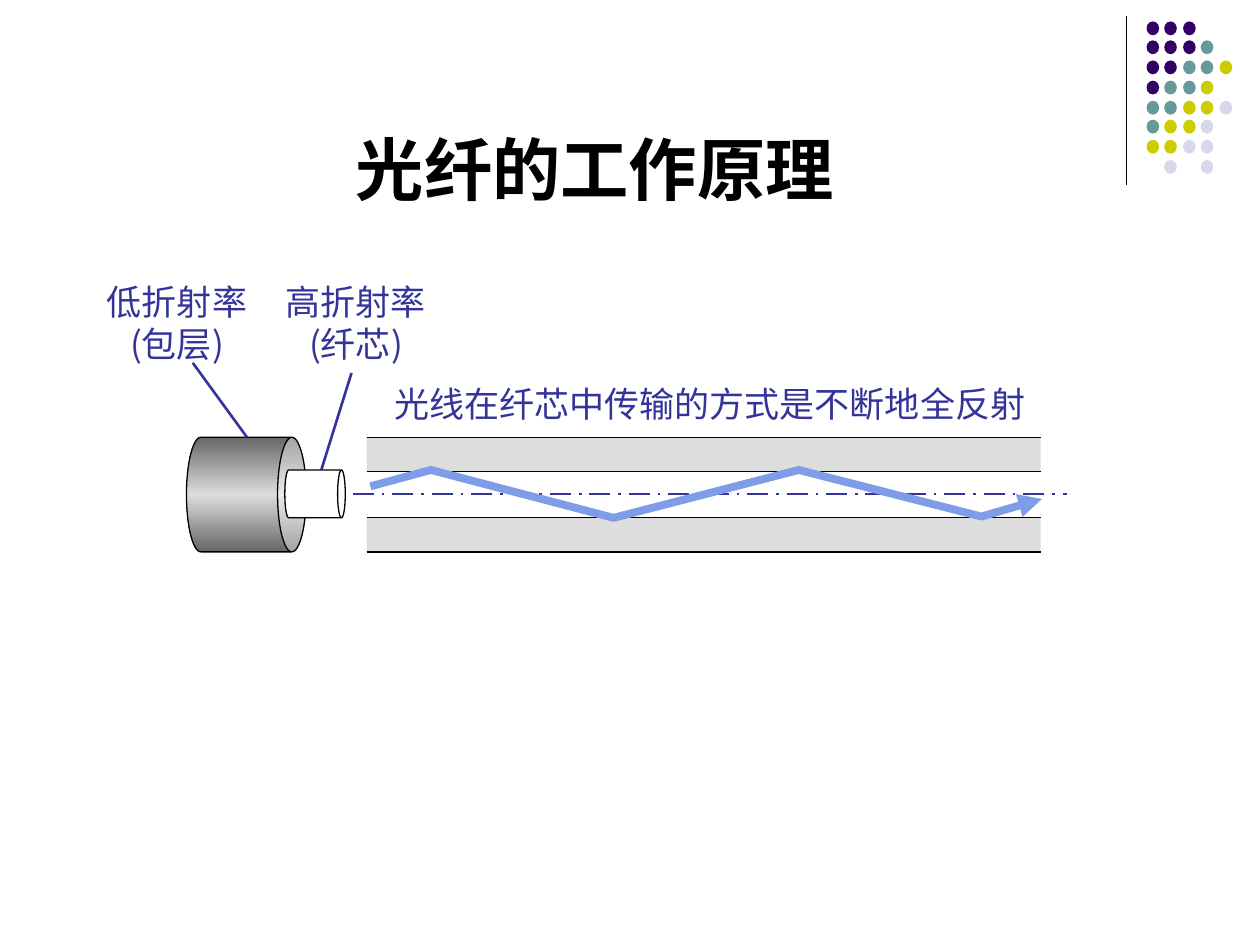
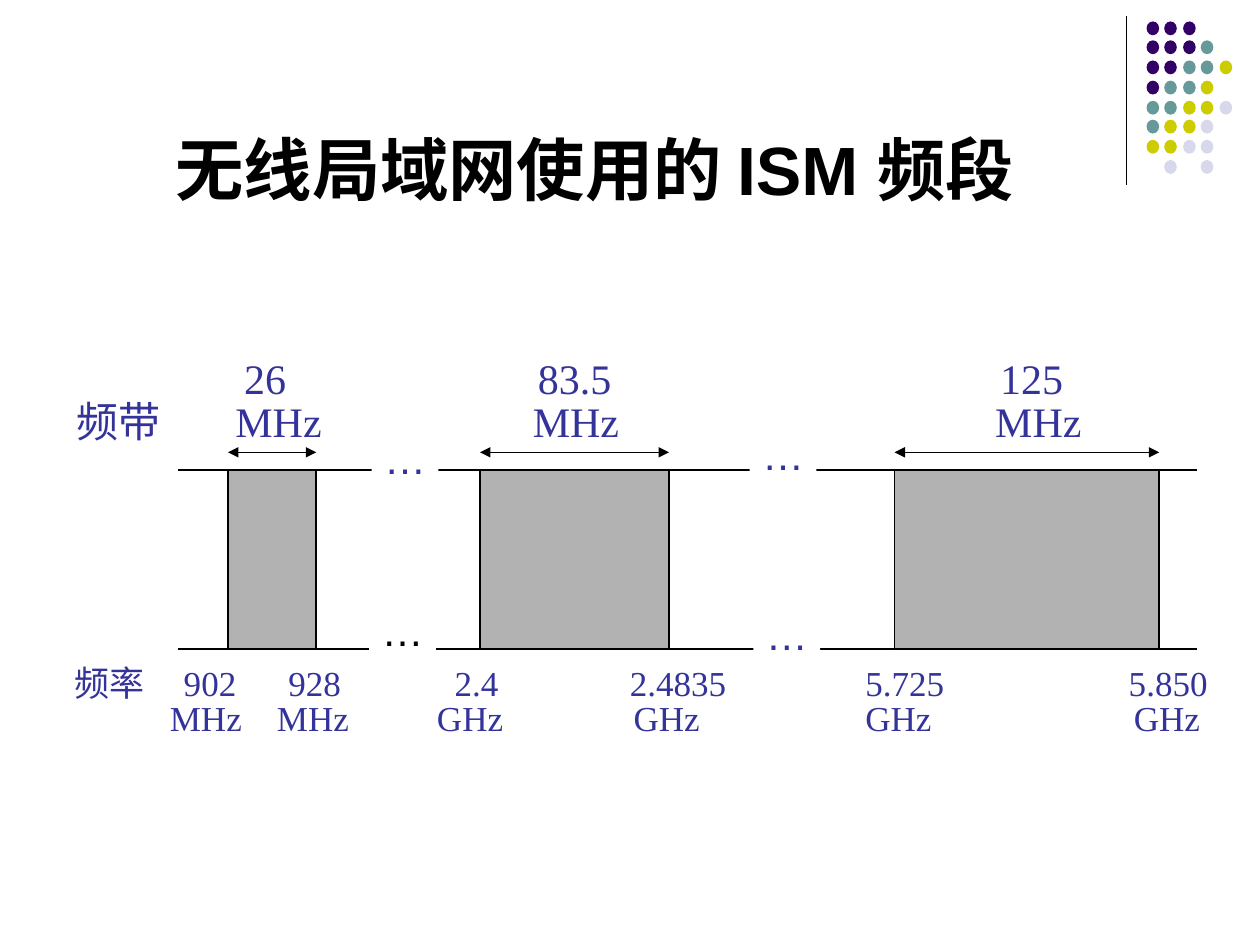
from copy import deepcopy
from lxml.etree import SubElement
from pptx import Presentation
from pptx.dml.color import RGBColor
from pptx.enum.dml import MSO_LINE
from pptx.enum.shapes import MSO_CONNECTOR, MSO_SHAPE
from pptx.enum.text import MSO_ANCHOR, MSO_AUTO_SIZE, PP_ALIGN
from pptx.oxml.ns import qn
from pptx.util import Emu, Pt

PX = 9144
BLACK, WHITE, BLUE = "000000", "FFFFFF", "333399"
CLADDING, BAND, RAY = "DDDDDD", "B2B2B2", "7E9CE8"
DOT_COLORS = {"p": "330066", "t": "669999", "y": "CCCC00", "l": "D8D8EC"}
DOT_ROWS = ["ppp", "pppt", "pptty", "ptty", "ttyyl", "tyyl", "yyll", " l l"]
SANS, SERIF, CJK = "Arial", "Times New Roman", "Noto Sans CJK SC"


def px(*lengths):
    """Turn px lengths into EMU."""
    return [Emu(n * PX) for n in lengths]


def rgb(color):
    """Turn a hex string into a colour."""
    return RGBColor.from_string(color)


def style_paragraph(p, size, color, font, bold=False):
    """Set the font of a whole paragraph, East Asian glyphs included."""
    p.font.size = Pt(size)
    p.font.bold = bold
    p.font.name = font
    p.font.color.rgb = rgb(color)
    SubElement(p._p.pPr.find(qn("a:defRPr")), qn("a:ea"), typeface=CJK)


def style_line(line, color, width, dash=None, ends=()):
    """Set the colour, width, dash and arrowheads of a line."""
    line.color.rgb = rgb(color)
    line.width = Pt(width)
    if dash:
        line.dash_style = dash
    for end in ends:
        SubElement(line._get_or_add_ln(), qn(f"a:{end}"), type="triangle")


def add_line(s, x1, y1, x2, y2, color=BLACK, width=0.75, dash=None, ends=()):
    """Add a straight connector without a shadow."""
    c = s.shapes.add_connector(MSO_CONNECTOR.STRAIGHT, *px(x1, y1, x2, y2))
    style_line(c.line, color, width, dash, ends)
    SubElement(c._element.spPr, qn("a:effectLst"))


def add_shape(s, kind, box, fill, line=None):
    """Add a flat preset shape."""
    sp = s.shapes.add_shape(kind, *px(*box))
    sp.shadow.inherit = False
    sp.fill.solid()
    sp.fill.fore_color.rgb = rgb(fill)
    if line:
        style_line(sp.line, line, 0.75)
    else:
        sp.line.fill.background()
    return sp


def add_can(s, box, depth):
    """Add a white cylinder lying on its side."""
    sp = add_shape(s, MSO_SHAPE.CAN, box, WHITE, BLACK)
    sp.rotation = 90
    sp.adjustments[0] = depth
    return sp


def shade(sp, edge, middle):
    """Fill a shape with a gradient that is the same at both edges."""
    sp.fill.gradient()
    sp.fill.gradient_angle = 0
    for stop, color, position in zip(sp.fill.gradient_stops, (edge, middle), (0, 0.5)):
        stop.color.rgb = rgb(color)
        stop.position = position
    stops = sp._element.spPr.find(".//" + qn("a:gsLst"))
    last = deepcopy(stops[0])
    last.set("pos", "100000")
    stops.append(last)


def add_text(s, box, lines, size, color=BLUE, font=CJK, align=None, fill=None):
    """Add an unwrapped text box, one paragraph a line."""
    sp = s.shapes.add_textbox(*px(*box))
    if fill:
        sp.fill.solid()
        sp.fill.fore_color.rgb = rgb(fill)
    tf = sp.text_frame
    tf.word_wrap = False
    tf.text = "\n".join(lines)
    for p in tf.paragraphs:
        p.alignment = align
        style_paragraph(p, size, color, font)


def add_tabbed_text(s, box, rows, size):
    """Add a text box whose rows are (text, tab stops) pairs."""
    tf = s.shapes.add_textbox(*px(*box)).text_frame
    tf.word_wrap = True
    for i, (text, tabs) in enumerate(rows):
        p = tf.add_paragraph() if i else tf.paragraphs[0]
        p.text = text
        p.line_spacing = 0.85
        tab_list = SubElement(p._p.get_or_add_pPr(), qn("a:tabLst"))
        for tab in tabs:
            SubElement(tab_list, qn("a:tab"), pos=str(tab * PX), algn="l")
        style_paragraph(p, size, BLUE, SERIF)


def add_slide(prs, title):
    """Add a slide with the corner dots, the rule and a title."""
    s = prs.slides.add_slide(prs.slide_layouts[5])
    add_line(s, 894, 13, 894, 147)
    for row, codes in enumerate(DOT_ROWS):
        for col, code in enumerate(codes):
            if code in DOT_COLORS:
                box = (910 + 29 * col // 2, 17 + 63 * row // 4, 10, 11)
                add_shape(s, MSO_SHAPE.OVAL, box, DOT_COLORS[code])
    sp = s.shapes.title
    sp.left, sp.top, sp.width, sp.height = px(50, 84, 844, 87)
    tf = sp.text_frame
    tf.text = title
    tf.auto_size = MSO_AUTO_SIZE.NONE
    tf.vertical_anchor = MSO_ANCHOR.BOTTOM
    p = tf.paragraphs[0]
    p.alignment = PP_ALIGN.CENTER
    style_paragraph(p, 39, BLACK, SANS, bold=True)
    return s


def add_ray(s, points):
    """Add the light ray as an open path with an arrowhead."""
    start, *rest = [px(*point) for point in points]
    builder = s.shapes.build_freeform(*start)
    builder.add_line_segments(rest, close=False)
    sp = builder.convert_to_shape()
    sp.shadow.inherit = False
    sp.fill.background()
    style_line(sp.line, RAY, 4.5, ends=["tailEnd"])


def fiber_slide(prs):
    """Build the slide on how an optical fibre works."""
    s = add_slide(prs, "光纤的工作原理")
    left, right = 291, 826
    edges = [347, 374, 411, 438]
    for top, bottom, fill in zip(edges, edges[1:], (CLADDING, WHITE, CLADDING)):
        add_shape(s, MSO_SHAPE.RECTANGLE, (left, top, right - left, bottom - top), fill)
    shade(add_can(s, (150, 345, 91, 95), 0.25), "666666", CLADDING)
    add_can(s, (231, 368, 38, 48), 0.16)
    for y in edges:
        add_line(s, left, y, right, y)
    add_line(s, 280, 392, 847, 392, BLUE, 1.5, MSO_LINE.LONG_DASH_DOT)
    for x, lines in ((217, ["高折射率", "(纤芯)"]), (75, ["低折射率", "(包层)"])):
        add_text(s, (x, 218, 131, 77), lines, 20, align=PP_ALIGN.CENTER)
    add_line(s, 279, 296, 255, 373, BLUE, 1.5)
    add_line(s, 153, 288, 196, 347, BLUE, 1.5)
    add_text(s, (303, 299, 521, 44), ["光线在纤芯中传输的方式是不断地全反射"], 20)
    add_ray(s, [(294, 386), (342, 373), (487, 411), (634, 373), (779, 410), (827, 396)])


def ism_slide(prs):
    """Build the slide on the ISM bands."""
    s = add_slide(prs, "无线局域网使用的 ISM 频段")
    add_tabbed_text(s, (51, 281, 819, 78), [
        ("\t26\t83.5\t125", (133, 366, 733)),
        ("频带\tMHz\tMHz\tMHz", (126, 362, 729))], 24)
    add_tabbed_text(s, (49, 525, 940, 67), [
        ("频率\t902\t928\t2.4\t2.4835\t5.725\t5.850", (87, 170, 302, 441, 628, 837)),
        ("\tMHz\tMHz\tGHz\tGHz\tGHz\tGHz", (76, 161, 288, 444, 628, 841))], 20)
    top, bottom = 373, 515
    for y in (top, bottom):
        add_line(s, 141, y, 950, y)
    for x, width in ((181, 70), (381, 150), (710, 210)):
        add_shape(s, MSO_SHAPE.RECTANGLE, (x, top, width, bottom - top), BAND, BLACK)
        add_line(s, x, 359, x + width, 359, ends=["headEnd", "tailEnd"])
    gaps = ((295, 338, BLUE), (293, 475, BLACK), (595, 335, BLUE), (598, 478, BLUE))
    for x, y, color in gaps:
        add_text(s, (x, y, 53, 50), ["…"], 24, color, SANS, fill=WHITE)


def main():
    """Build and save the presentation."""
    prs = Presentation()
    prs.slide_width, prs.slide_height = px(1000, 750)
    fiber_slide(prs)
    ism_slide(prs)
    prs.save("out.pptx")


if __name__ == "__main__":
    main()
